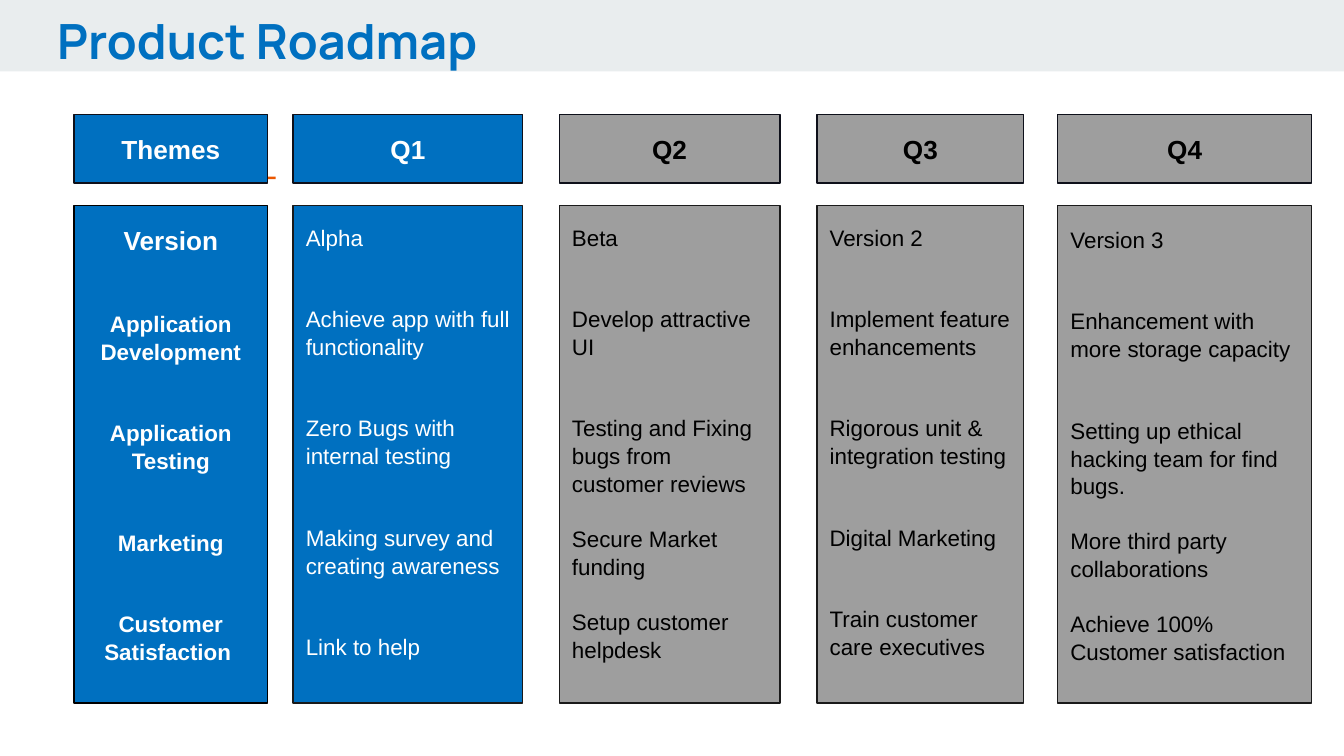
"""Build the product roadmap slide."""
from pptx import Presentation
from pptx import util as u
from pptx.dml.color import RGBColor
from pptx.enum import shapes, text

BLUE = RGBColor(0x00, 0x70, 0xC0)
GRAY = RGBColor(0x9E, 0x9E, 0x9E)
BAND = RGBColor(0xE9, 0xED, 0xEE)
ORANGE = RGBColor(0xEB, 0x56, 0x00)
WHITE = RGBColor(0xFF, 0xFF, 0xFF)
BLACK = RGBColor(0x00, 0x00, 0x00)
NAVY = RGBColor(0x0E, 0x10, 0x1A)
CHARCOAL = RGBColor(0x1A, 0x1A, 0x1A)

LINE_SPACING = 1.04
LINE_PITCH = 14.35

THEMES = [("Version", 0), ("Application Development", 2), ("Application Testing", 2),
          ("Marketing", 2), ("Customer", 2), ("Satisfaction ", 0)]
QUARTERS = [
    ("Q1", 5.54, 4.34, BLUE, WHITE, 0.32,
     [("Alpha", 0), ("Achieve app with full functionality", 2),
      ("Zero Bugs with internal testing", 2),
      ("Making survey and creating awareness", 2), ("Link to help", 2)]),
    ("Q2", 10.57, 4.17, GRAY, BLACK, 0.32,
     [("Beta", 0), ("Develop attractive UI", 2),
      ("Testing and Fixing bugs from customer reviews", 2),
      ("Secure Market funding", 1), ("Setup customer helpdesk", 1)]),
    ("Q3", 15.44, 3.91, GRAY, BLACK, 0.32,
     [("Version 2", 0), ("Implement feature enhancements", 2),
      ("Rigorous unit & integration testing", 2),
      ("Digital Marketing", 2), ("Train customer care executives", 2)]),
    ("Q4", 19.99, 4.8, GRAY, BLACK, 0.36,
     [("Version 3", 0), ("Enhancement with more storage capacity", 2),
      ("Setting up ethical hacking team for find bugs.", 2),
      ("More third party collaborations", 1), ("Achieve 100%", 1),
      ("Customer satisfaction", 0)]),
]


def write(para, words, size=12, color=BLACK, bold=False, font="Arial",
          align=text.PP_ALIGN.LEFT, gap=0, spacing=1.0):
    para.alignment = align
    para.line_spacing = spacing
    para.space_before = u.Pt(gap)
    span = para.add_run()
    span.text = words
    span.font.name = font
    span.font.size = u.Pt(size)
    span.font.bold = bold
    span.font.color.rgb = color


class Roadmap:
    def __init__(self, slide):
        self.slide = slide
        self.header_top, self.header_height = 2.16, 1.3
        self.body_top, self.body_height = 3.89, 9.4

    def frame(self, box, top, anchor):
        frame = box.text_frame
        frame.word_wrap = True
        frame.vertical_anchor = anchor
        frame.margin_left = frame.margin_right = u.Cm(0.24)
        frame.margin_top = u.Cm(top)
        frame.margin_bottom = u.Cm(0.25)
        return frame

    def rectangle(self, left, top, width, height, fill, outline=None):
        box = self.slide.shapes.add_shape(
            shapes.MSO_SHAPE.RECTANGLE, u.Cm(left), u.Cm(top), u.Cm(width), u.Cm(height))
        box.shadow.inherit = False
        box.fill.solid()
        box.fill.fore_color.rgb = fill
        if outline is None:
            box.line.fill.background()
        else:
            box.line.color.rgb = outline
            box.line.width = u.Pt(0.75)
        return box

    def title(self, words):
        box = self.slide.shapes.add_textbox(u.Cm(0.84), u.Cm(0), u.Cm(21.36), u.Cm(1.5))
        frame = self.frame(box, 0.2, text.MSO_ANCHOR.TOP)
        write(frame.paragraphs[0], words, size=26, color=BLUE, bold=True, font="Manrope")

    def header(self, words, left, width, fill, color):
        box = self.rectangle(left, self.header_top, width, self.header_height, fill, NAVY)
        frame = self.frame(box, 0.25, text.MSO_ANCHOR.MIDDLE)
        write(frame.paragraphs[0], words, size=14, color=color, bold=True,
              align=text.PP_ALIGN.CENTER)

    def body(self, entries, left, width, fill, outline, top, first_size=12, **style):
        box = self.rectangle(left, self.body_top, width, self.body_height, fill, outline)
        frame = self.frame(box, top, text.MSO_ANCHOR.TOP)
        for index, (words, lines) in enumerate(entries):
            para = frame.add_paragraph() if index else frame.paragraphs[0]
            write(para, words, size=12 if index else first_size,
                  gap=lines * LINE_PITCH, spacing=LINE_SPACING, **style)


def main():
    deck = Presentation()
    deck.slide_width, deck.slide_height = u.Cm(25.4), u.Cm(14.29)
    page = Roadmap(deck.slides.add_slide(deck.slide_layouts[6]))
    page.rectangle(0, 0, 25.4, 1.35, BAND)
    page.rectangle(4.17, 3.34, 1.04, 0.05, ORANGE)
    page.title("Product Roadmap")
    page.header("Themes", 1.4, 3.66, BLUE, WHITE)
    page.body(THEMES, 1.4, 3.66, BLUE, BLACK, 0.32, first_size=14,
              color=WHITE, bold=True, align=text.PP_ALIGN.CENTER)
    for name, left, width, fill, color, top, entries in QUARTERS:
        page.header(name, left, width, fill, color)
        page.body(entries, left, width, fill, CHARCOAL, top, color=color)
    deck.save("out.pptx")


if __name__ == "__main__":
    main()
